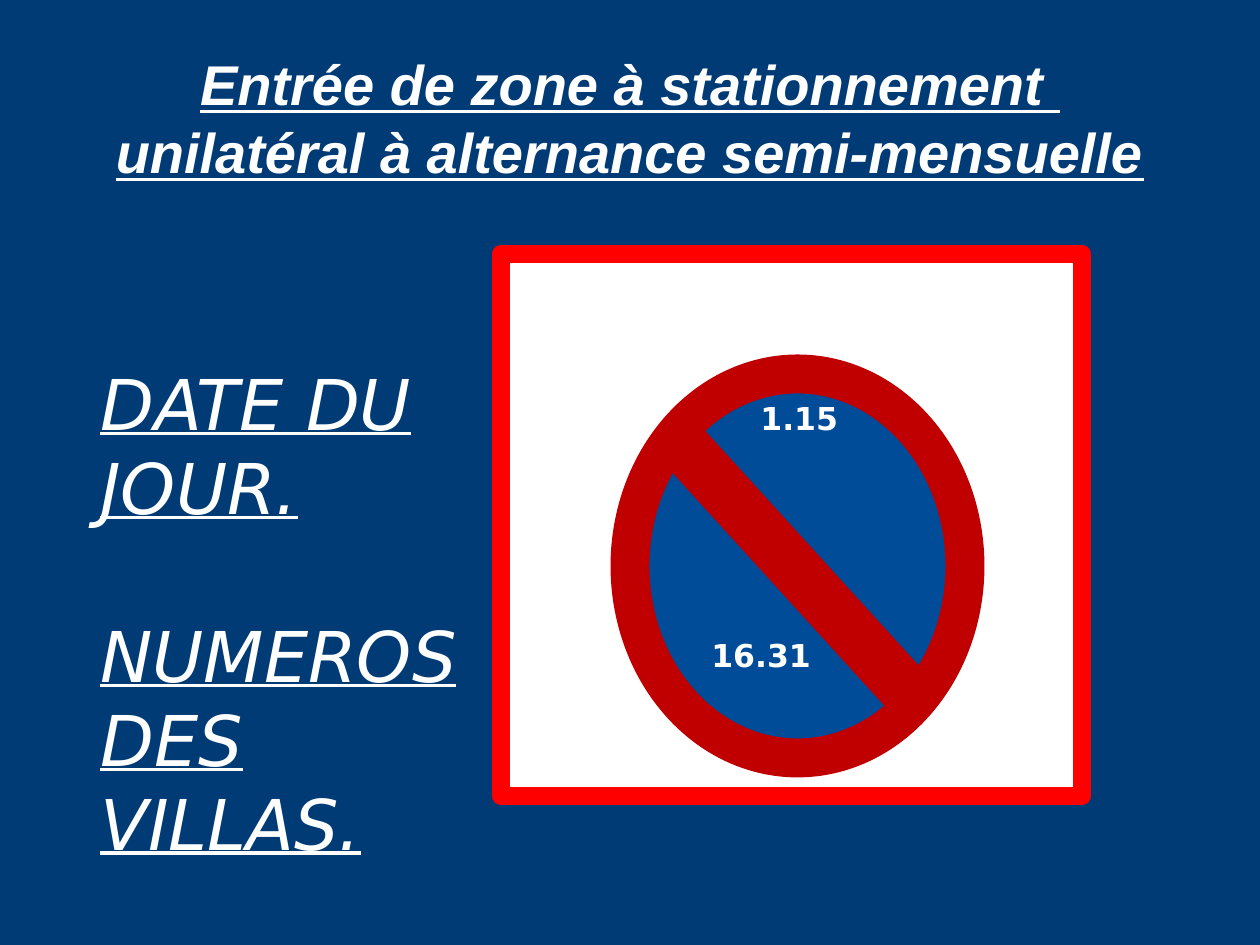
from dataclasses import dataclass

from pptx import Presentation
from pptx.dml.color import RGBColor as Rgb
from pptx.enum.shapes import MSO_SHAPE as Kind
from pptx.enum.text import MSO_ANCHOR as Anchor
from pptx.enum.text import MSO_AUTO_SIZE as Fit
from pptx.enum.text import PP_ALIGN as Align
from pptx.slide import Slide
from pptx.util import Emu, Pt

SCALE = 914400 / 126


@dataclass(frozen=True)
class Theme:
    back: str = "003B76"
    white: str = "FFFFFF"
    frame: str = "FF0000"
    base: str = "333399"
    disc: str = "004C99"
    ring: str = "C00000"
    sans: str = "Arial"
    wide: str = "DejaVu Sans"
    head: int = 32
    note: int = 40
    mark: int = 18
    lead: float = 1.2


@dataclass(frozen=True)
class Box:
    left: int
    top: int
    width: int
    height: int

    def emu(self) -> list[Emu]:
        sides = (self.left, self.top, self.width, self.height)
        return [px(side) for side in sides]


@dataclass(frozen=True)
class Part:
    kind: Kind
    box: Box
    fill: str
    line: str
    weight: float
    turn: float = 0


@dataclass(frozen=True)
class Label:
    box: Box
    paras: tuple[str, ...]
    font: str
    size: int
    bold: bool = False
    slant: bool = False
    under: bool = False
    align: Align = Align.LEFT
    anchor: Anchor = Anchor.TOP
    fit: Fit = Fit.SHAPE_TO_FIT_TEXT


THEME = Theme()

PARTS = (
    Part(Kind.RECTANGLE, Box(501, 254, 581, 542),
         THEME.white, THEME.frame, 10.5),
    Part(Kind.FLOWCHART_CONNECTOR, Box(610, 354, 374, 423),
         THEME.base, THEME.white, 4.75),
    Part(Kind.FLOWCHART_CONNECTOR, Box(630, 374, 335, 384),
         THEME.disc, THEME.ring, 22.25),
    Part(Kind.RECTANGLE, Box(621, 544, 348, 49),
         THEME.ring, THEME.ring, 2, 47.7),
)

LABELS = (
    Label(Box(63, 38, 1134, 158),
          ("Entrée de zone à stationnement \nunilatéral à alternance semi-mensuelle",),
          THEME.sans, THEME.head, bold=True, slant=True, under=True,
          align=Align.CENTER, anchor=Anchor.MIDDLE, fit=Fit.NONE),
    Label(Box(748, 393, 108, 50), ("1.15",),
          THEME.wide, THEME.mark, bold=True),
    Label(Box(699, 630, 137, 50), ("16.31",),
          THEME.wide, THEME.mark, bold=True),
    Label(Box(88, 354, 384, 522), ("DATE DU JOUR.", "NUMEROS DES VILLAS."),
          THEME.wide, THEME.note, slant=True, under=True),
)


def px(count: int) -> Emu:
    return Emu(round(count * SCALE))


def draw(slide: Slide, part: Part) -> None:
    shape = slide.shapes.add_shape(part.kind, *part.box.emu())
    shape.shadow.inherit = False
    shape.rotation = part.turn
    shape.fill.solid()
    shape.fill.fore_color.rgb = Rgb.from_string(part.fill)
    shape.line.color.rgb = Rgb.from_string(part.line)
    shape.line.width = Pt(part.weight)


def write(slide: Slide, label: Label) -> None:
    frame = slide.shapes.add_textbox(*label.box.emu()).text_frame
    frame.word_wrap = True
    frame.auto_size = label.fit
    frame.vertical_anchor = label.anchor
    pitch = Pt(label.size * THEME.lead)
    for rank, text in enumerate(label.paras):
        para = frame.add_paragraph() if rank else frame.paragraphs[0]
        para.alignment = label.align
        para.line_spacing = pitch
        para.space_before = pitch if rank else Pt(0)
        for row, words in enumerate(text.split("\n")):
            if row:
                para.add_line_break()
            run = para.add_run()
            run.text = words
            font = run.font
            font.name = label.font
            font.size = Pt(label.size)
            font.bold = label.bold
            font.italic = label.slant
            font.underline = label.under
            font.color.rgb = Rgb.from_string(THEME.white)


def main() -> None:
    deck = Presentation()
    deck.slide_width, deck.slide_height = px(1260), px(945)
    slide = deck.slides.add_slide(deck.slide_layouts[6])
    fill = slide.background.fill
    fill.solid()
    fill.fore_color.rgb = Rgb.from_string(THEME.back)
    for part in PARTS:
        draw(slide, part)
    for label in LABELS:
        write(slide, label)
    deck.save("out.pptx")


if __name__ == "__main__":
    main()
